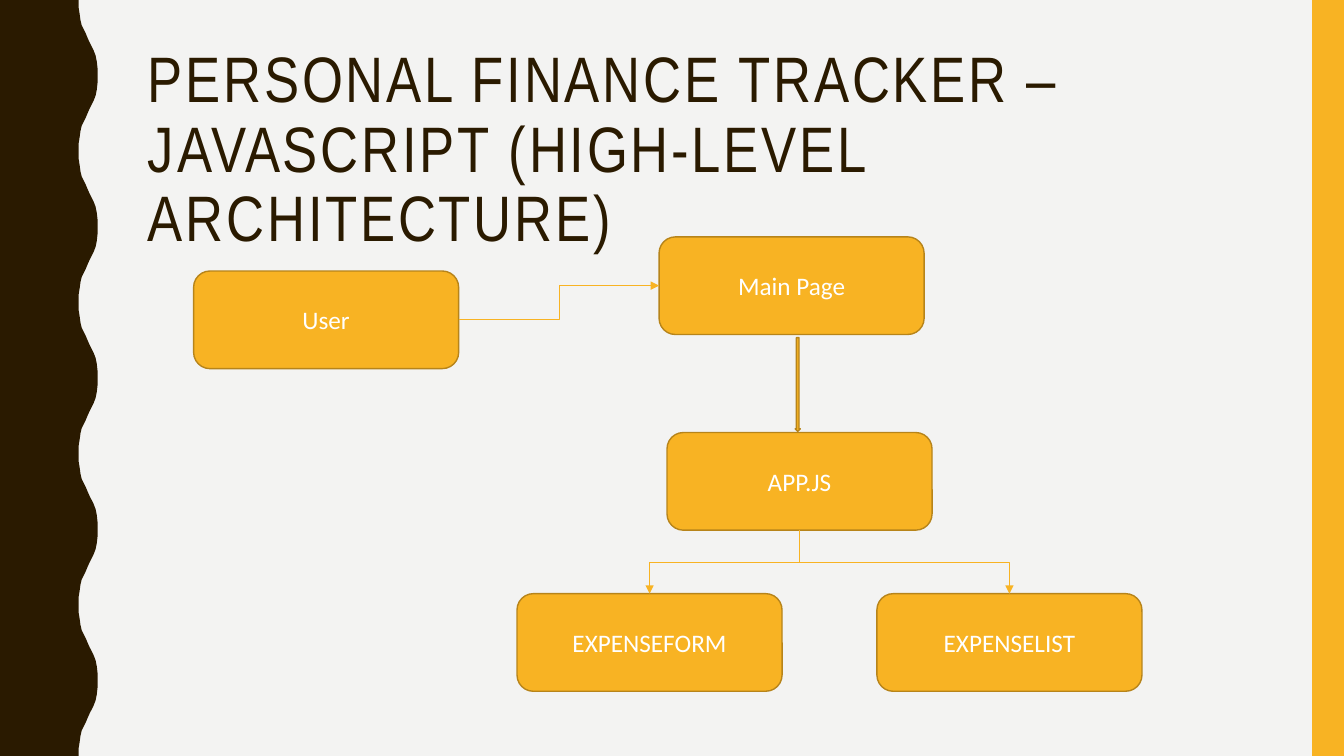
from dataclasses import dataclass

from lxml.etree import SubElement
from pptx import Presentation
from pptx.dml.color import RGBColor
from pptx.enum.shapes import MSO_CONNECTOR as Link, MSO_SHAPE as Preset
from pptx.enum.text import MSO_ANCHOR as Anchor, PP_ALIGN as Align
from pptx.oxml.ns import qn
from pptx.shapes.autoshape import Shape
from pptx.slide import Slide
from pptx.util import Cm, Pt

PAPER = RGBColor(0xF3, 0xF3, 0xF2)
BROWN = RGBColor(0x2A, 0x1A, 0x00)
AMBER = RGBColor(0xF8, 0xB3, 0x23)
OCHRE = RGBColor(0xB7, 0x84, 0x1A)
WHITE = RGBColor(0xFF, 0xFF, 0xFF)

SLIDE_WIDTH, SLIDE_HEIGHT = 33.87, 19.05
BOX_WIDTH, BOX_HEIGHT = 6.68, 2.46
WAVE_COUNT = 5
WAVE_LENGTH = SLIDE_HEIGHT / WAVE_COUNT
HALF_WAVE = [
    (1.98, 0), (1.98, 0.18), (2.01, 0.36), (2.03, 0.51), (2.06, 0.64),
    (2.11, 0.74), (2.16, 0.84), (2.21, 0.96), (2.26, 1.07), (2.31, 1.17),
    (2.36, 1.27), (2.41, 1.4), (2.44, 1.55), (2.46, 1.73), (2.46, 1.9),
]
TOP, LEFT, BOTTOM, RIGHT = range(4)
QUARTER_TURN = 5400000


@dataclass(frozen=True)
class Box:
    label: str
    left: float
    top: float


@dataclass(frozen=True)
class Arrow:
    source: str
    target: str
    downward: bool


BOXES = [
    Box("Main Page", 16.61, 5.97),
    Box("APP.JS", 16.81, 10.9),
    Box("EXPENSEFORM", 13.03, 14.96),
    Box("EXPENSELIST", 22.1, 14.96),
    Box("User", 4.88, 6.83),
]
ARROWS = [
    Arrow("APP.JS", "EXPENSEFORM", True),
    Arrow("APP.JS", "EXPENSELIST", True),
    Arrow("User", "Main Page", False),
]


def paint(shape: Shape, color: RGBColor, outline: RGBColor | None = None) -> None:
    shape.shadow.inherit = False
    shape.fill.solid()
    shape.fill.fore_color.rgb = color
    if outline is None:
        shape.line.fill.background()
    else:
        shape.line.color.rgb = outline
        shape.line.width = Pt(1)


def add_preset(slide: Slide, preset: Preset, left: float, top: float,
               width: float, height: float) -> Shape:
    return slide.shapes.add_shape(preset, Cm(left), Cm(top), Cm(width), Cm(height))


def add_text(shape: Shape, text: str, font_name: str, size: float, color: RGBColor):
    shape.text_frame.word_wrap = True
    run = shape.text_frame.paragraphs[0].add_run()
    run.text = text
    run.font.name = font_name
    run.font.size = Pt(size)
    run.font.color.rgb = color
    return run


def add_wave(slide: Slide) -> None:
    wave = HALF_WAVE + [(x, WAVE_LENGTH - y) for x, y in HALF_WAVE[-2::-1]]
    edge = [(x, y + WAVE_LENGTH * index)
            for index in range(WAVE_COUNT) for x, y in wave]
    outline = edge + [(0, SLIDE_HEIGHT)]
    builder = slide.shapes.build_freeform(0, 0)
    builder.add_line_segments([(Cm(x), Cm(y)) for x, y in outline], close=True)
    paint(builder.convert_to_shape(), BROWN)


def add_title(slide: Slide) -> None:
    title = slide.shapes.add_textbox(Cm(3.48), Cm(1.07), Cm(28.27), Cm(4.14))
    run = add_text(title, "PERSONAL FINANCE TRACKER – JAVASCRIPT (HIGH-LEVEL ARCHITECTURE)",
                   "Arial Narrow", 45.9, BROWN)
    run.font._element.set("spc", "200")
    title.text_frame.vertical_anchor = Anchor.TOP
    title.text_frame.paragraphs[0].line_spacing = 0.9


def add_box(slide: Slide, box: Box) -> Shape:
    shape = add_preset(slide, Preset.ROUNDED_RECTANGLE, box.left, box.top,
                       BOX_WIDTH, BOX_HEIGHT)
    paint(shape, AMBER, OCHRE)
    add_text(shape, box.label, "Calibri", 18, WHITE)
    shape.text_frame.vertical_anchor = Anchor.MIDDLE
    shape.text_frame.paragraphs[0].alignment = Align.CENTER
    return shape


def add_arrow(slide: Slide, arrow: Arrow, shapes: dict[str, Shape]) -> None:
    connector = slide.shapes.add_connector(Link.ELBOW, 0, 0, 0, 0)
    start, end = (BOTTOM, TOP) if arrow.downward else (RIGHT, LEFT)
    connector.begin_connect(shapes[arrow.source], start)
    connector.end_connect(shapes[arrow.target], end)
    connector.line.color.rgb = AMBER
    connector.line.width = Pt(0.5)
    properties = connector.element.spPr
    SubElement(connector.line._get_or_add_ln(), qn("a:tailEnd"), type="triangle")
    SubElement(properties, qn("a:effectLst"))
    if arrow.downward:
        to_right = connector.end_x > connector.begin_x
        width, height = connector.width, connector.height
        shift = (width - height) // 2
        connector.left, connector.top = connector.left + shift, connector.top - shift
        connector.width, connector.height = height, width
        frame = properties.find(qn("a:xfrm"))
        frame.set("rot", str(QUARTER_TURN * (3 if to_right else 1)))
        frame.set("flipH", "1" if to_right else "0")
        frame.set("flipV", "0")


def main() -> None:
    presentation = Presentation()
    presentation.slide_width = Cm(SLIDE_WIDTH)
    presentation.slide_height = Cm(SLIDE_HEIGHT)
    slide = presentation.slides.add_slide(presentation.slide_layouts[6])
    slide.background.fill.solid()
    slide.background.fill.fore_color.rgb = PAPER

    add_wave(slide)
    paint(add_preset(slide, Preset.RECTANGLE, 33.07, 0, 0.8, SLIDE_HEIGHT), AMBER)
    add_title(slide)
    shapes = {box.label: add_box(slide, box) for box in BOXES}
    paint(add_preset(slide, Preset.DOWN_ARROW, 20.04, 8.51, 0.13, 2.36), AMBER, OCHRE)
    for arrow in ARROWS:
        add_arrow(slide, arrow, shapes)

    presentation.save("out.pptx")


if __name__ == "__main__":
    main()
